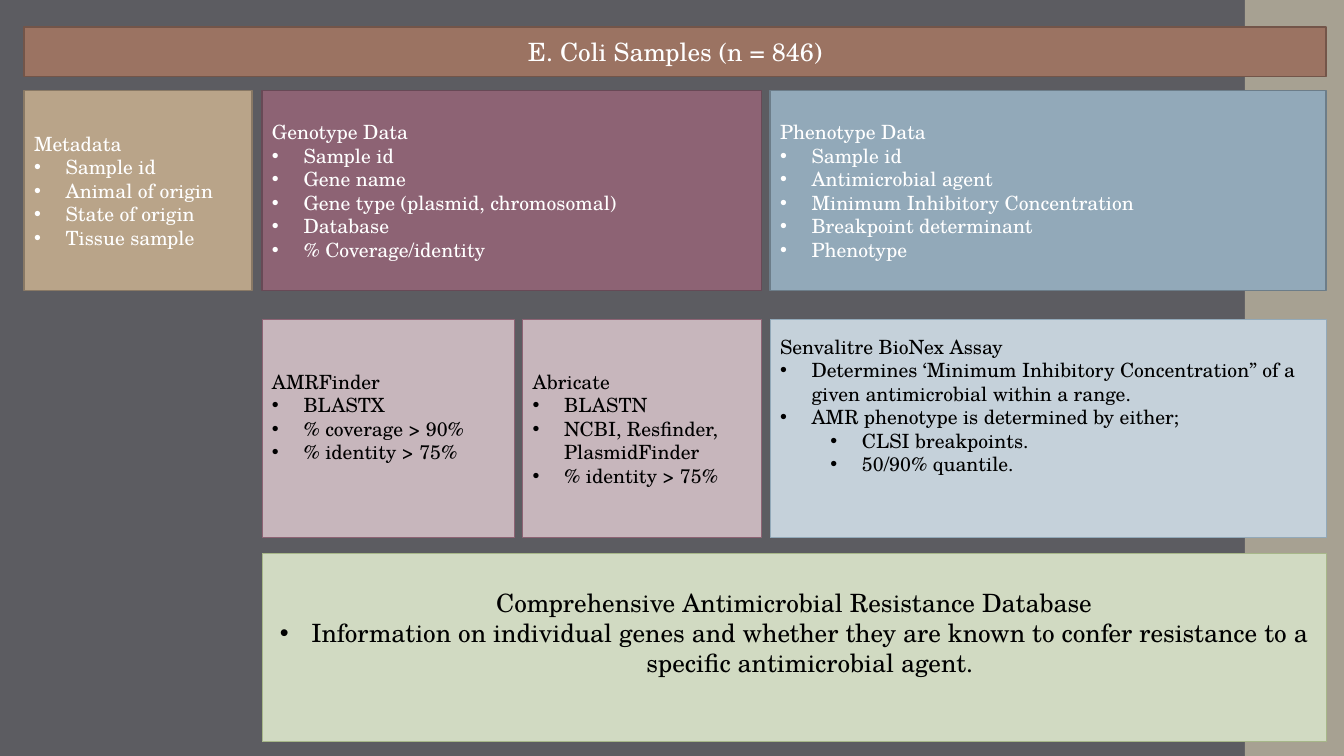
from dataclasses import dataclass

import pptx
import pptx.dml.color
import pptx.enum.shapes
import pptx.enum.text
import pptx.oxml
import pptx.oxml.ns
import pptx.slide
import pptx.text.text
import pptx.util

Pt = pptx.util.Pt
RGBColor = pptx.dml.color.RGBColor
Align = pptx.enum.text.PP_ALIGN

FONT = "TeX Gyre Schola"
WHITE = RGBColor(0xFF, 0xFF, 0xFF)
BLACK = RGBColor(0x00, 0x00, 0x00)
SLATE = RGBColor(0x5C, 0x5C, 0x61)
STONE = RGBColor(0xA7, 0xA1, 0x92)
RUST = RGBColor(0x9B, 0x73, 0x62)
RUST_DARK = RGBColor(0x73, 0x55, 0x49)
TAN = RGBColor(0xB9, 0xA4, 0x89)
TAN_DARK = RGBColor(0x89, 0x79, 0x65)
PLUM = RGBColor(0x8D, 0x63, 0x74)
PLUM_DARK = RGBColor(0x68, 0x49, 0x56)
PLUM_LIGHT = RGBColor(0xC7, 0xB6, 0xBC)
BLUE = RGBColor(0x92, 0xA9, 0xB9)
BLUE_DARK = RGBColor(0x6C, 0x7D, 0x89)
BLUE_LIGHT = RGBColor(0xC5, 0xD1, 0xDA)
GREEN = RGBColor(0xA7, 0xB7, 0x89)
GREEN_LIGHT = RGBColor(0xD1, 0xDA, 0xC2)

SLIDE_WIDTH, SLIDE_HEIGHT = 960, 540
BAND_LEFT = 889.2
METADATA_LEFT, GENOTYPE_LEFT, ABRICATE_LEFT, PHENOTYPE_LEFT = 17.3, 187.2, 373.4, 550.1
METADATA_RIGHT, FINDER_RIGHT, GENOTYPE_RIGHT, RIGHT = 180, 367.5, 544, 947.2
HEADER_ROW, DATA_ROW, METHOD_ROW, DATABASE_ROW = (
    (19.4, 35.3), (64.8, 142.6), (228.4, 155.5), (395.3, 134.6))
HANG = 22.5
LEVEL_STEP = 36
INSET = 3.6


@dataclass(frozen=True)
class Style:
    fill: RGBColor
    line: RGBColor
    ink: RGBColor
    line_width: float
    size: float = 14
    align: Align = Align.LEFT


@dataclass(frozen=True)
class Bullet:
    text: str
    level: int = 0


@dataclass(frozen=True)
class Panel:
    left: float
    right: float
    row: tuple[float, float]
    style: Style
    title: str
    bullets: tuple[Bullet, ...] = ()
    space_below: float = 0


HEADER = Style(RUST, RUST_DARK, WHITE, 1.1, 18, Align.CENTER)
METADATA = Style(TAN, TAN_DARK, WHITE, 1.1)
GENOTYPE = Style(PLUM, PLUM_DARK, WHITE, 1.1)
PHENOTYPE = Style(BLUE, BLUE_DARK, WHITE, 1.1)
FINDER = Style(PLUM_LIGHT, PLUM, BLACK, 0.75)
ASSAY = Style(BLUE_LIGHT, BLUE, BLACK, 0.75)
DATABASE = Style(GREEN_LIGHT, GREEN, BLACK, 0.75, 18, Align.CENTER)

PANELS = (
    Panel(METADATA_LEFT, RIGHT, HEADER_ROW, HEADER, "E. Coli Samples (n = 846)"),
    Panel(METADATA_LEFT, METADATA_RIGHT, DATA_ROW, METADATA, "Metadata", (
        Bullet("Sample id"),
        Bullet("Animal of origin"),
        Bullet("State of origin"),
        Bullet("Tissue sample"))),
    Panel(GENOTYPE_LEFT, GENOTYPE_RIGHT, DATA_ROW, GENOTYPE, "Genotype Data", (
        Bullet("Sample id"),
        Bullet("Gene name"),
        Bullet("Gene type (plasmid, chromosomal)"),
        Bullet("Database"),
        Bullet("% Coverage/identity"))),
    Panel(PHENOTYPE_LEFT, RIGHT, DATA_ROW, PHENOTYPE, "Phenotype Data", (
        Bullet("Sample id"),
        Bullet("Antimicrobial agent"),
        Bullet("Minimum Inhibitory Concentration"),
        Bullet("Breakpoint determinant"),
        Bullet("Phenotype"))),
    Panel(GENOTYPE_LEFT, FINDER_RIGHT, METHOD_ROW, FINDER, "AMRFinder", (
        Bullet("BLASTX"),
        Bullet("% coverage > 90%"),
        Bullet("% identity > 75%")), 16.8),
    Panel(ABRICATE_LEFT, GENOTYPE_RIGHT, METHOD_ROW, FINDER, "Abricate", (
        Bullet("BLASTN"),
        Bullet("NCBI, Resfinder, PlasmidFinder"),
        Bullet("% identity > 75%"))),
    Panel(PHENOTYPE_LEFT, RIGHT, METHOD_ROW, ASSAY, "Senvalitre BioNex Assay", (
        Bullet("Determines ‘Minimum Inhibitory Concentration” of a given "
               "antimicrobial within a range."),
        Bullet("AMR phenotype is determined by either;"),
        Bullet("CLSI breakpoints.", 1),
        Bullet("50/90% quantile.", 1)), 33.6),
    Panel(GENOTYPE_LEFT, RIGHT, DATABASE_ROW, DATABASE,
          "Comprehensive Antimicrobial Resistance Database", (
              Bullet("Information on individual genes and whether they are known "
                     "to confer resistance to a specific antimicrobial agent."),), 21.6),
)


def add_band(page: pptx.slide.Slide) -> None:
    band = page.shapes.add_shape(
        pptx.enum.shapes.MSO_SHAPE.RECTANGLE,
        Pt(BAND_LEFT), Pt(0), Pt(SLIDE_WIDTH - BAND_LEFT), Pt(SLIDE_HEIGHT))
    band.shadow.inherit = False
    band.fill.solid()
    band.fill.fore_color.rgb = STONE
    band.line.fill.background()


def write(para: pptx.text.text._Paragraph, text: str, style: Style) -> None:
    para.alignment = style.align
    span = para.add_run()
    span.text = text
    span.font.name = FONT
    span.font.size = Pt(style.size)
    span.font.color.rgb = style.ink


def add_bullet_mark(para: pptx.text.text._Paragraph, level: int) -> None:
    para.level = level
    properties = para._p.get_or_add_pPr()
    properties.set("marL", str(Pt(HANG + level * LEVEL_STEP)))
    properties.set("indent", str(-Pt(HANG)))
    namespace = pptx.oxml.ns.nsdecls("a")
    properties.append(pptx.oxml.parse_xml(f'<a:buFont {namespace} typeface="Arial"/>'))
    properties.append(pptx.oxml.parse_xml(f'<a:buChar {namespace} char="•"/>'))


def add_panel(page: pptx.slide.Slide, panel: Panel) -> None:
    top, height = panel.row
    style = panel.style
    box = page.shapes.add_shape(
        pptx.enum.shapes.MSO_SHAPE.RECTANGLE,
        Pt(panel.left), Pt(top), Pt(panel.right - panel.left), Pt(height))
    box.shadow.inherit = False
    box.fill.solid()
    box.fill.fore_color.rgb = style.fill
    box.line.color.rgb = style.line
    box.line.width = Pt(style.line_width)
    frame = box.text_frame
    frame.word_wrap = True
    frame.vertical_anchor = pptx.enum.text.MSO_ANCHOR.MIDDLE
    frame.margin_bottom = Pt(INSET + panel.space_below)
    write(frame.paragraphs[0], panel.title, style)
    for bullet in panel.bullets:
        para = frame.add_paragraph()
        write(para, bullet.text, style)
        add_bullet_mark(para, bullet.level)


def main() -> None:
    deck = pptx.Presentation()
    deck.slide_width = Pt(SLIDE_WIDTH)
    deck.slide_height = Pt(SLIDE_HEIGHT)
    page = deck.slides.add_slide(deck.slide_layouts[6])
    page.background.fill.solid()
    page.background.fill.fore_color.rgb = SLATE
    add_band(page)
    for panel in PANELS:
        add_panel(page, panel)
    deck.save("out.pptx")


if __name__ == "__main__":
    main()
